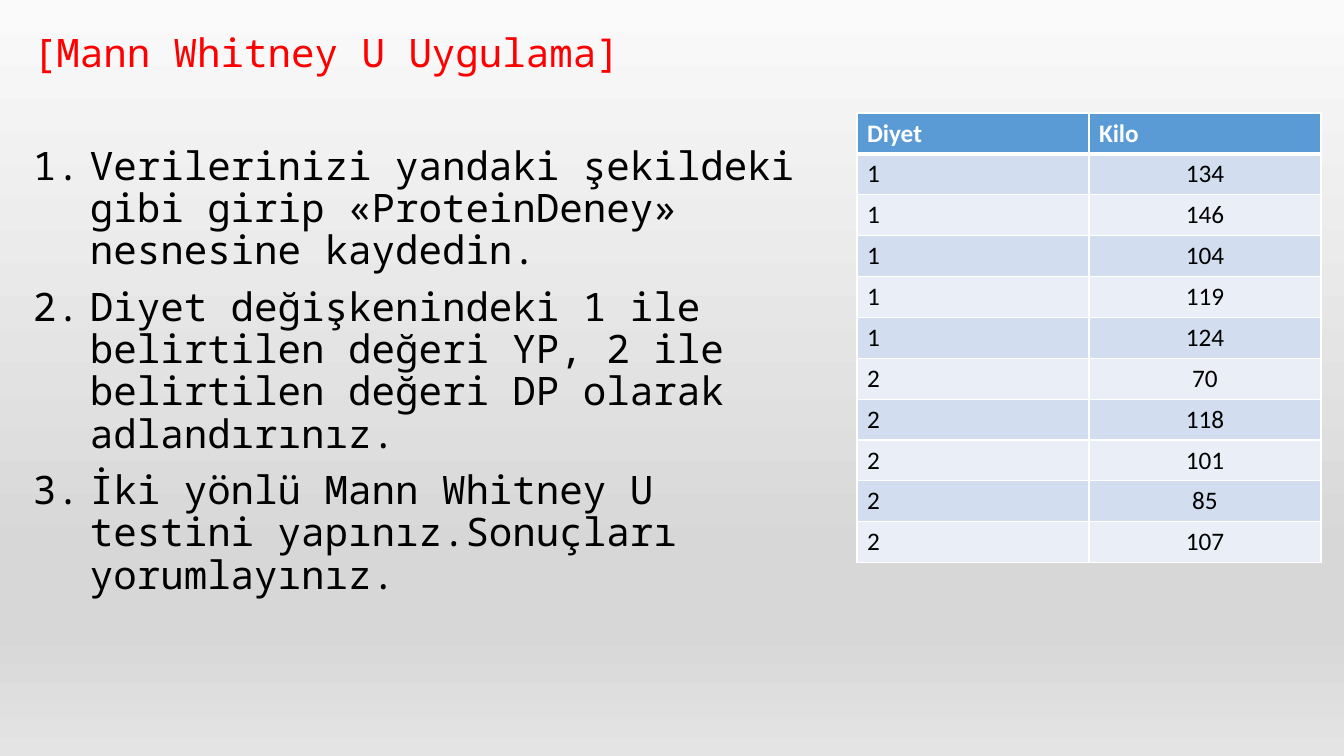
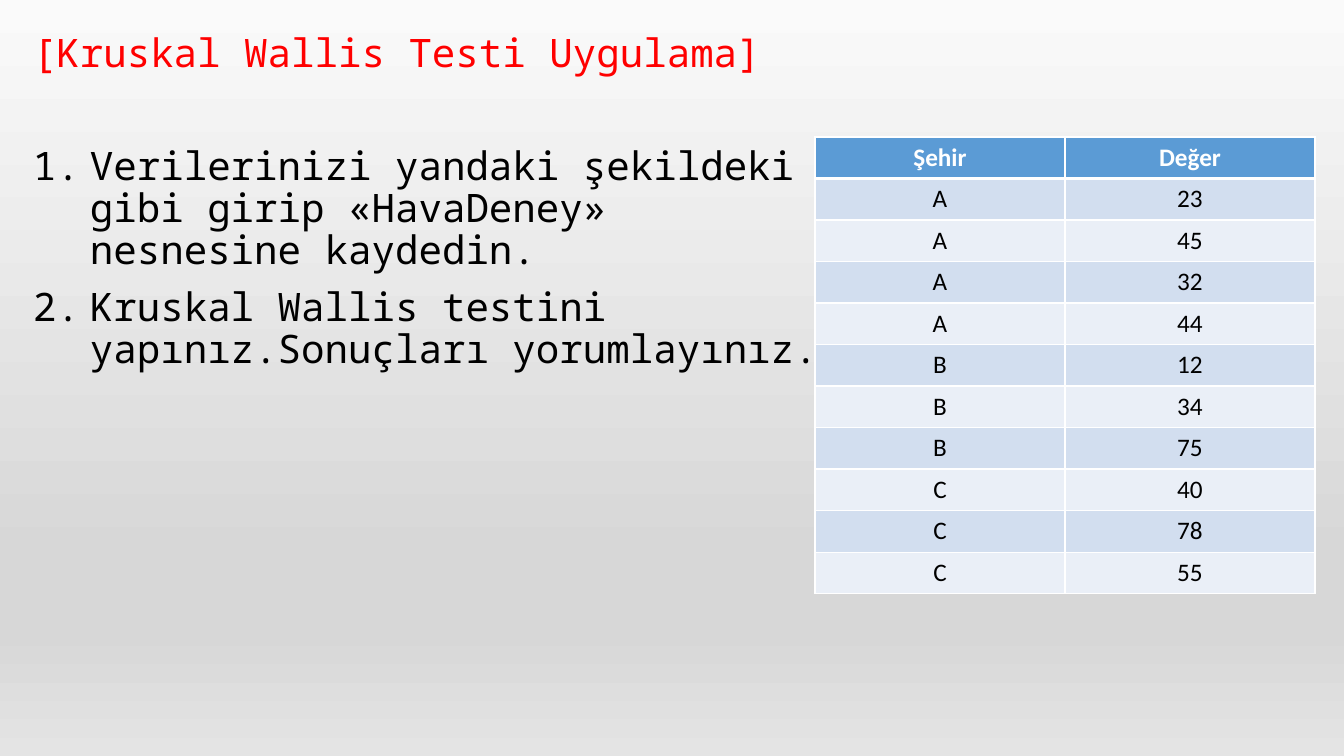
from dataclasses import dataclass

from lxml import etree
from pptx import Presentation
from pptx import util as u
from pptx.dml.color import RGBColor
from pptx.enum import text
from pptx.oxml import ns

PX = 914400 / 100.8
LEFT, CENTER = text.PP_ALIGN.LEFT, text.PP_ALIGN.CENTER


@dataclass(frozen=True)
class Theme:
    """Colours, fonts and type sizes shared by the slides."""
    title: str = "FF0000"
    ink: str = "000000"
    white: str = "FFFFFF"
    header: str = "5B9BD5"
    bands: tuple = ("D2DEEF", "EAEFF7")
    backdrop: tuple = ((0, "FAFAFA"), (74, "D7D7D7"), (83, "D7D7D7"), (100, "E4E4E4"))
    mono: str = "Noto Sans Mono"
    sans: str = "Calibri"
    body_pt: int = 28
    table_pt: int = 18
    gap_pt: int = 10
    list_gap_pt: int = 50
    rule_pt: int = 1
    header_rule_pt: int = 3


@dataclass(frozen=True)
class DataTable:
    """A two-column table, its place in pixels and its column alignments."""
    left: int
    top: int
    col_width: int
    height: int
    aligns: tuple
    rows: tuple


@dataclass(frozen=True)
class Exercise:
    """One slide: a title, numbered steps and the data to enter."""
    title: str
    steps: tuple
    data: DataTable


THEME = Theme()
EXERCISES = (
    Exercise(
        "[Mann Whitney U Uygulama]",
        ("Verilerinizi yandaki şekildeki gibi girip «ProteinDeney» nesnesine kaydedin.",
         "Diyet değişkenindeki 1 ile belirtilen değeri YP, 2 ile belirtilen değeri DP "
         "olarak adlandırınız.",
         "İki yönlü Mann Whitney U testini yapınız.Sonuçları yorumlayınız."),
        DataTable(857, 113, 232, 450, (LEFT, CENTER), (
            ("Diyet", "Kilo"),
            (1, 134), (1, 146), (1, 104), (1, 119), (1, 124),
            (2, 70), (2, 118), (2, 101), (2, 85), (2, 107))),
    ),
    Exercise(
        "[Kruskal Wallis Testi Uygulama]",
        ("Verilerinizi yandaki şekildeki gibi girip «HavaDeney» nesnesine kaydedin.",
         "Kruskal Wallis testini yapınız.Sonuçları yorumlayınız."),
        DataTable(815, 137, 250, 457, (CENTER, CENTER), (
            ("Şehir", "Değer"),
            ("A", 23), ("A", 45), ("A", 32), ("A", 44),
            ("B", 12), ("B", 34), ("B", 75),
            ("C", 40), ("C", 78), ("C", 55))),
    ),
)


def px(n: float) -> int:
    """Turn pixels into EMU."""
    return round(n * PX)


def sub(parent, tag: str, **attrs):
    """Append a DrawingML element to parent."""
    return etree.SubElement(parent, ns.qn(f"a:{tag}"), attrs)


def write(p, words: str, *, font: str, size: int, color: str, bold: bool = False,
          align=LEFT, before: float = 0, spacing: float = 1.0) -> None:
    """Fill a paragraph with one formatted run."""
    p.alignment, p.line_spacing, p.space_before = align, spacing, u.Pt(before)
    r = p.add_run()
    r.text = words
    r.font.name, r.font.size, r.font.bold = font, u.Pt(size), bold
    r.font.color.rgb = RGBColor.from_string(color)


def number(p, indent: int) -> None:
    """Give a paragraph an automatic number and a hanging indent."""
    pPr = p._p.get_or_add_pPr()
    pPr.set("marL", str(px(indent)))
    pPr.set("indent", str(-px(indent)))
    sub(pPr, "buAutoNum", type="arabicPeriod")


def paint_backdrop(master) -> None:
    """Set the vertical gradient behind every slide."""
    fill = master.background.fill
    fill.gradient()
    fill.gradient_angle = 270
    stops = master._element.xpath("p:cSld/p:bg//a:gsLst")[0]
    for old in list(stops):
        stops.remove(old)
    for pos, color in THEME.backdrop:
        sub(sub(stops, "gs", pos=str(pos * 1000)), "srgbClr", val=color)


def add_text(s, ex: Exercise) -> None:
    """Add the title and the numbered steps."""
    tf = s.shapes.add_textbox(px(23), px(29), px(823), px(671)).text_frame
    tf.word_wrap = True
    style = dict(font=THEME.mono, size=THEME.body_pt, spacing=0.9)
    write(tf.paragraphs[0], ex.title, color=THEME.title, before=THEME.gap_pt, **style)
    for i, step in enumerate(ex.steps):
        p = tf.add_paragraph()
        write(p, step, color=THEME.ink,
              before=THEME.gap_pt if i else THEME.list_gap_pt, **style)
        number(p, 57)


def rule_cell(cell, top: int, bottom: int) -> None:
    """Draw white borders; top and bottom widths are in points."""
    tcPr = cell._tc.get_or_add_tcPr()
    sides = dict(lnL=THEME.rule_pt, lnR=THEME.rule_pt, lnT=top, lnB=bottom)
    for side, width in sides.items():
        ln = sub(tcPr, side, w=str(u.Pt(width)))
        sub(sub(ln, "solidFill"), "srgbClr", val=THEME.white)


def add_data(s, data: DataTable) -> None:
    """Add the banded data table."""
    n_rows, n_cols = len(data.rows), len(data.aligns)
    table = s.shapes.add_table(n_rows, n_cols, px(data.left), px(data.top),
                               px(data.col_width * n_cols), px(data.height)).table
    table.first_row = table.horz_banding = False
    for i, row in enumerate(data.rows):
        head = i == 0
        fill = THEME.header if head else THEME.bands[(i - 1) % 2]
        top = THEME.header_rule_pt if i == 1 else THEME.rule_pt
        bottom = THEME.header_rule_pt if head else THEME.rule_pt
        for j, value in enumerate(row):
            cell = table.cell(i, j)
            rule_cell(cell, top, bottom)
            cell.fill.solid()
            cell.fill.fore_color.rgb = RGBColor.from_string(fill)
            write(cell.text_frame.paragraphs[0], str(value), font=THEME.sans,
                  size=THEME.table_pt, color=THEME.white if head else THEME.ink,
                  bold=head, align=LEFT if head and data.aligns[0] == LEFT
                  else data.aligns[j])


def main() -> None:
    """Build and save the presentation."""
    prs = Presentation()
    prs.slide_width, prs.slide_height = px(1344), px(756)
    paint_backdrop(prs.slide_master)
    for ex in EXERCISES:
        s = prs.slides.add_slide(prs.slide_layouts[6])
        add_text(s, ex)
        add_data(s, ex.data)
    prs.save("out.pptx")


main()
